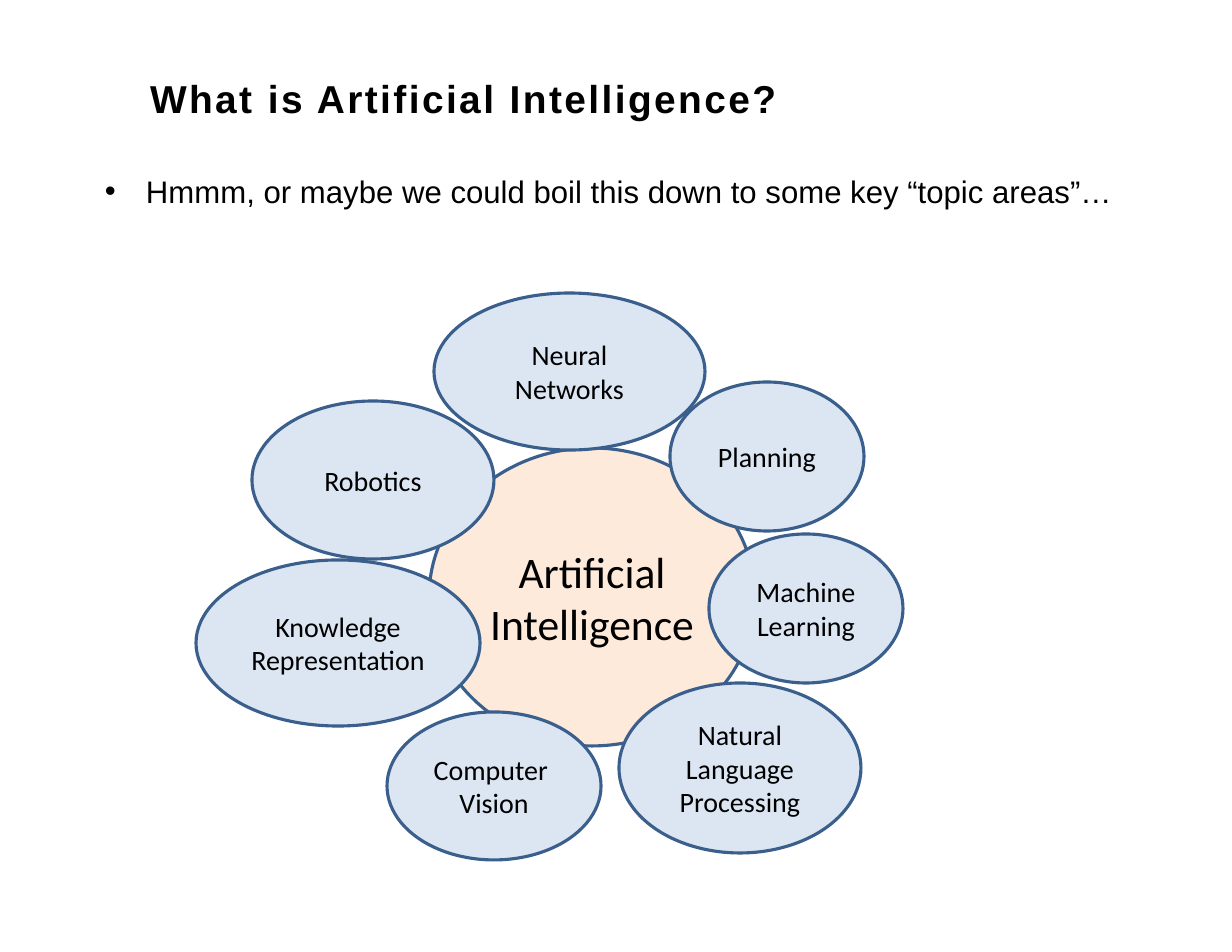
from lxml import etree
from pptx import Presentation
from pptx import util as u
from pptx.dml.color import RGBColor
from pptx.enum import shapes, text
from pptx.oxml.ns import qn

PX = u.Inches(1) / 112
COLORS = {
    "ink": "000000",
    "paper": "FFFFFF",
    "core": "FDEADA",
    "topic": "DCE6F2",
    "outline": "3A5F8C",
}
INSETS = ("margin_left", "margin_top", "margin_right", "margin_bottom")


def emu(px):
    return u.Emu(round(px * PX))


def color(name):
    return RGBColor.from_string(COLORS[name])


def apply(target, formats):
    for key, value in formats.items():
        setattr(target, key, value)


class Deck:
    heading = {"name": "Arial", "size": u.Pt(25), "bold": True}
    body = {"name": "Arial", "size": u.Pt(20)}
    core = {"name": "Calibri", "size": u.Pt(28)}
    topic = {"name": "Calibri", "size": u.Pt(18)}

    def __init__(self, width, height):
        self.prs = Presentation()
        apply(self.prs, {"slide_width": emu(width), "slide_height": emu(height)})
        self.slide = self.prs.slides.add_slide(self.prs.slide_layouts[6])

    def shape(self, kind, box, line, weight, fill=None):
        item = self.slide.shapes.add_shape(kind, *map(emu, box))
        item.shadow.inherit = False
        if fill:
            item.fill.solid()
            item.fill.fore_color.rgb = color(fill)
        else:
            item.fill.background()
        item.line.color.rgb = color(line)
        item.line.width = u.Pt(weight)
        return item

    def add_lines(self, item, lines, font, anchor, align, flush=False):
        """Fill the shape with one paragraph per line; flush drops the insets."""
        frame = item.text_frame
        apply(frame, {"word_wrap": True, "vertical_anchor": anchor})
        if flush:
            apply(frame, dict.fromkeys(INSETS, 0))
        for i, words in enumerate(lines):
            paragraph = frame.add_paragraph() if i else frame.paragraphs[0]
            paragraph.alignment = align
            run = paragraph.add_run()
            run.text = words
            apply(run.font, font)
            run.font.color.rgb = color("ink")
        return frame.paragraphs[0]

    def indent(self, paragraph, left, first=0):
        props = paragraph._p.get_or_add_pPr()
        props.set("marL", str(emu(left)))
        props.set("indent", str(emu(first)))
        return props

    def title(self, box, words):
        item = self.shape(shapes.MSO_SHAPE.RECTANGLE, box, "paper", 4.08)
        paragraph = self.add_lines(item, [words], self.heading, text.MSO_ANCHOR.TOP,
                                   text.PP_ALIGN.LEFT, flush=True)
        paragraph.line_spacing = u.Pt(24.3)
        self.indent(paragraph, 141)
        paragraph.runs[0]._r.get_or_add_rPr().set("spc", "160")

    def bullet(self, box, words):
        item = self.slide.shapes.add_textbox(*map(emu, box))
        paragraph = self.add_lines(item, [words], self.body, text.MSO_ANCHOR.TOP,
                                   text.PP_ALIGN.LEFT, flush=True)
        paragraph.line_spacing = 1.01
        props = self.indent(paragraph, 43, -41)
        etree.SubElement(props, qn("a:buFont")).set("typeface", "Arial")
        etree.SubElement(props, qn("a:buChar")).set("char", "•")

    def bubble(self, box, lines, fill="topic", font=None):
        item = self.shape(shapes.MSO_SHAPE.OVAL, box, "outline", 2, fill)
        self.add_lines(item, lines, font or self.topic, text.MSO_ANCHOR.MIDDLE,
                       text.PP_ALIGN.CENTER)


TOPICS = [
    ((252, 401, 242, 158), ["Robotics"]),
    ((434, 293, 271, 157), ["Neural", "Networks"]),
    ((670, 382, 194, 149), ["Planning"]),
    ((709, 534, 194, 149), ["Machine", "Learning"]),
    ((619, 683, 242, 170), ["Natural", "Language", "Processing"]),
    ((387, 712, 214, 148), ["Computer ", "Vision"]),
    ((196, 560, 284, 166), ["Knowledge", "Representation"]),
]


def main():
    deck = Deck(1232, 952)
    deck.title((9, 84, 945, 159), "What is Artificial Intelligence?")
    deck.bullet((103, 172, 1036, 75),
                "Hmmm, or maybe we could boil this down to some key “topic areas”…")
    deck.bubble((429, 448, 326, 298), ["Artificial Intelligence"], "core", deck.core)
    for box, lines in TOPICS:
        deck.bubble(box, lines)
    deck.prs.save("out.pptx")


if __name__ == "__main__":
    main()
